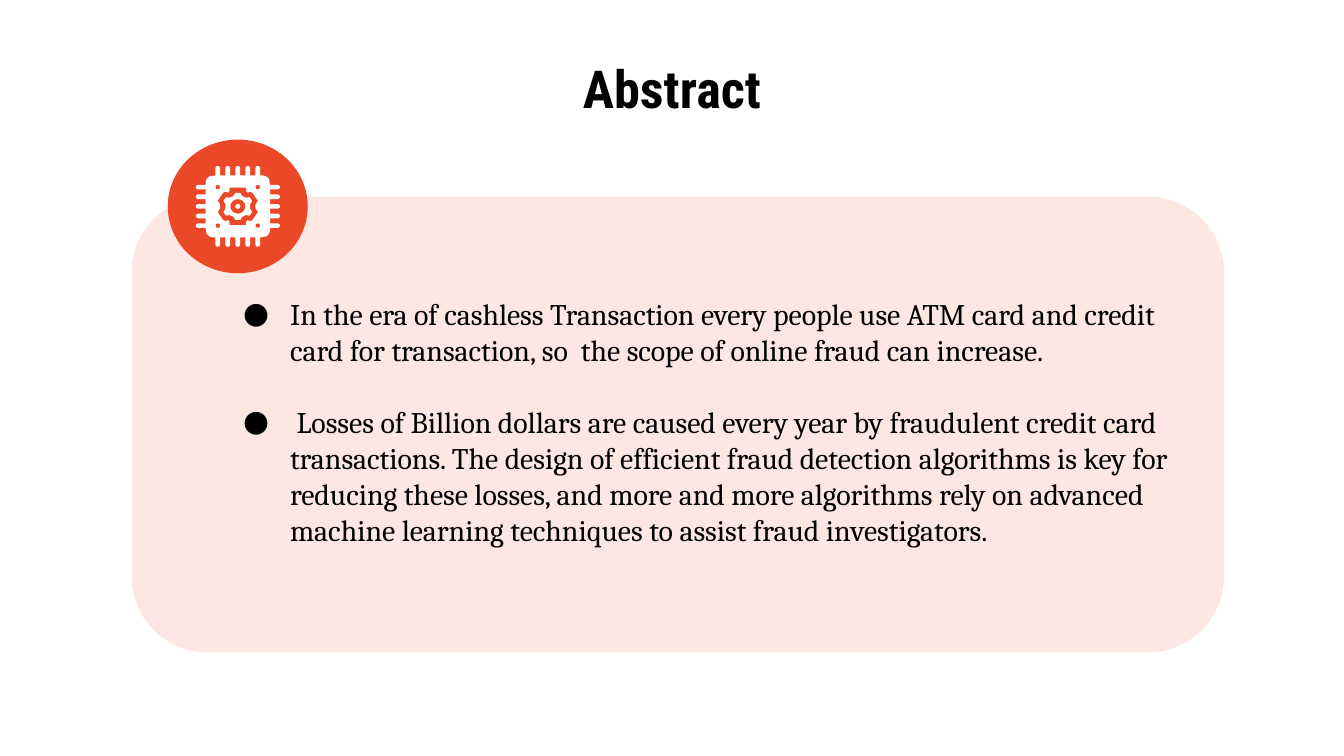
"""Build the Abstract slide with a tinted panel, a chip badge and two bullets."""
from math import cos, pi, sin

from lxml.etree import SubElement
from pptx import Presentation
from pptx.dml.color import RGBColor
from pptx.enum.shapes import MSO_SHAPE
from pptx.enum.text import MSO_ANCHOR, PP_ALIGN
from pptx.oxml.ns import qn
from pptx.util import Pt

ORANGE = RGBColor(0xEA, 0x48, 0x27)
WHITE = RGBColor(0xFF, 0xFF, 0xFF)
BLACK = RGBColor(0, 0, 0)

CENTER_X, CENTER_Y = 127.4, 110.6
STRETCH = 1.04
BODY, REACH, PIN, CORNER = 16.6, 21.6, 1.25, 3.8
PIN_OFFSETS = [5.15 * i for i in range(-2, 3)]
GEAR_RIM = [(4.3, 10.1), (4.6, 8.1), (5.2, 7.3), (6.4, 7.9), (7.8, 7.4), (10.8, 3), (9.4, 0.9)]
GEAR_FACE = [(1.4, 7.2), (2.2, 5.7), (4.4, 4.6), (6.3, 5), (7.7, 2.9), (6.6, 1.2)]
BULLETS = [
    "In the era of cashless Transaction every people use ATM card and credit card for "
    "transaction, so  the scope of online fraud can increase.",
    " Losses of Billion dollars are caused every year by fraudulent credit card transactions. "
    "The design of efficient fraud detection algorithms is key for reducing these losses, and "
    "more and more algorithms rely on advanced machine learning techniques to assist fraud "
    "investigators.",
]


def paint(sp, color):
    sp.shadow.inherit = False
    sp.fill.solid()
    sp.fill.fore_color.rgb = color
    sp.line.fill.background()


def add_shape(s, kind, x, y, w, h, color):
    sp = s.shapes.add_shape(kind, Pt(x), Pt(y), Pt(w), Pt(h))
    paint(sp, color)
    return sp


def add_outlines(s, outlines, color):
    contours = [[(Pt(CENTER_X + x), Pt(CENTER_Y - y)) for x, y in o] for o in outlines]
    builder = s.shapes.build_freeform(*contours[0][0])
    for i, points in enumerate(contours):
        if i:
            builder.move_to(*points[0])
        builder.add_line_segments(points[1:], close=True)
    paint(builder.convert_to_shape(), color)


def circle(x, y, radius, count=16):
    angles = [2 * pi * i / count for i in range(count)]
    return [(STRETCH * (x + radius * cos(a)), y + radius * sin(a)) for a in angles]


def gear(quarter):
    half = quarter + [(x, -y) for x, y in reversed(quarter)]
    return half + [(-x, -y) for x, y in half]


def chip_outline():
    side = []
    for d in PIN_OFFSETS:
        side += [(d - PIN, BODY), (d - PIN, REACH - 1), (d - 0.6, REACH),
                 (d + 0.6, REACH), (d + PIN, REACH - 1), (d + PIN, BODY)]
    inner = BODY - CORNER
    side += [(inner + CORNER * sin(a), inner + CORNER * cos(a)) for a in (0, pi / 6, pi / 3)]
    outline = []
    for _ in range(4):
        outline += side
        side = [(y, -x) for x, y in side]
    return [(STRETCH * x, y) for x, y in outline]


def add_panel(s):
    sp = add_shape(s, MSO_SHAPE.ROUNDED_RECTANGLE, 70.5, 105.3, 585.2, 244.2, ORANGE)
    sp.adjustments[0] = 0.167
    color = sp.fill._xPr.find(qn("a:solidFill"))[0]
    SubElement(color, qn("a:alpha"), val="13000")


def add_chip(s):
    add_shape(s, MSO_SHAPE.OVAL, CENTER_X - 37.5, CENTER_Y - 35.8, 75, 71.6, ORANGE)
    ends = (PIN_OFFSETS[0], PIN_OFFSETS[-1])
    dots = [circle(x, y, 1.25, 8) for x in ends for y in ends]
    add_outlines(s, [chip_outline(), gear(GEAR_RIM)] + dots, WHITE)
    add_outlines(s, [circle(0, 0, 1.3, 12)], WHITE)
    add_outlines(s, [gear(GEAR_FACE), circle(0, 0, 3.9)], WHITE)


def add_text(s, x, y, w, h, lines, font, size, bold=False):
    tf = s.shapes.add_textbox(Pt(x), Pt(y), Pt(w), Pt(h)).text_frame
    tf.word_wrap = True
    tf.margin_left = tf.margin_right = tf.margin_top = tf.margin_bottom = Pt(7.2)
    tf.text = "\n".join(lines)
    for p in tf.paragraphs:
        for r in p.runs:
            r.font.name = font
            r.font.size = Pt(size)
            r.font.bold = bold
            r.font.color.rgb = BLACK
    return tf


def add_title(s):
    tf = add_text(s, 36, 32.4, 648, 29.5, ["Abstract"], "Roboto Condensed", 28, True)
    tf.vertical_anchor = MSO_ANCHOR.MIDDLE
    tf.paragraphs[0].alignment = PP_ALIGN.CENTER


def add_bullets(s):
    tf = add_text(s, 123.1, 151.2, 512.6, 169.2, BULLETS, "Cambria", 16)
    for p in tf.paragraphs:
        pPr = p._p.get_or_add_pPr()
        pPr.set("marL", str(Pt(25.2)))
        pPr.set("indent", str(-Pt(25.2)))
        SubElement(pPr, qn("a:buFont"), typeface="Cambria")
        SubElement(pPr, qn("a:buChar"), char="●")
    tf.paragraphs[1].space_before = Pt(19.6)


def main():
    prs = Presentation()
    prs.slide_width, prs.slide_height = Pt(720), Pt(405)
    s = prs.slides.add_slide(prs.slide_layouts[6])
    add_panel(s)
    add_chip(s)
    add_title(s)
    add_bullets(s)
    prs.save("out.pptx")


if __name__ == "__main__":
    main()
